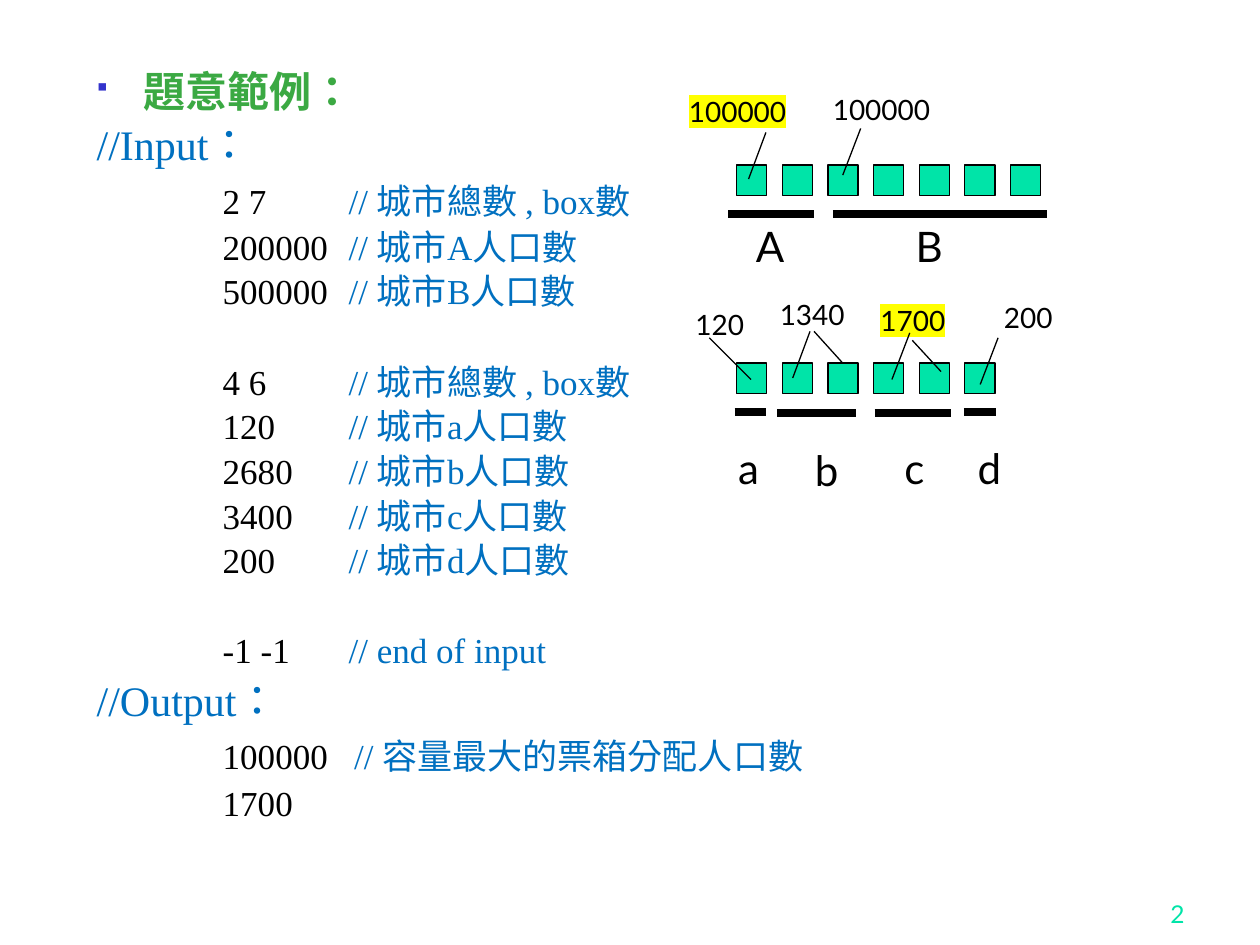
from dataclasses import dataclass

from lxml.etree import SubElement
from pptx import Presentation
from pptx.dml.color import RGBColor
from pptx.enum.shapes import MSO_CONNECTOR, MSO_SHAPE
from pptx.enum.text import MSO_ANCHOR, PP_ALIGN
from pptx.oxml import parse_xml
from pptx.oxml.ns import nsdecls, qn
from pptx.util import Cm, Pt


@dataclass(frozen=True)
class Theme:
    """Colours, fonts and sizes of the slide."""
    ink: str = "000000"
    comment: str = "0070C0"
    title: str = "3BA943"
    bullet: str = "3333CC"
    box: str = "00E4A8"
    highlight: str = "FFFF00"
    body_font: str = "Times New Roman"
    label_font: str = "Lato"
    bullet_font: str = "Wingdings"
    body_language: str = "zh-TW"
    heading_size: float = 24
    code_size: float = 20
    count_size: float = 16
    number_size: float = 14
    heading_space: float = 4.8
    code_space: float = 3.9
    group_space: float = 30
    thin_line: float = 0.75
    thick_line: float = 4.5


THEME = Theme()


def style_run(run, font_name, size, color, bold=False):
    """Set the font of one run."""
    run.font.name = font_name
    run.font.size = Pt(size)
    run.font.bold = bold
    run.font.color.rgb = RGBColor.from_string(color)


def style_body_run(run, size, color, bold=False):
    """Set the font and language of a run in the example."""
    style_run(run, THEME.body_font, size, color, bold)
    run.font._element.set("lang", THEME.body_language)


def highlight_run(run):
    """Mark the run with the highlight colour."""
    highlight = parse_xml(f'<a:highlight {nsdecls("a")}><a:srgbClr val="{THEME.highlight}"/></a:highlight>')
    run.font._element.find(qn("a:solidFill")).addnext(highlight)


def add_text_box(slide, left, top, width, height):
    """Add a wrapping text box and return its text frame."""
    shape = slide.shapes.add_textbox(Cm(left), Cm(top), Cm(width), Cm(height))
    shape.text_frame.word_wrap = True
    return shape.text_frame


def add_label(slide, text, left, top, width, height, size, color=THEME.ink, marked=False):
    """Add a one-line label and return its text frame."""
    text_frame = add_text_box(slide, left, top, width, height)
    text_frame.text = text
    run = text_frame.paragraphs[0].runs[0]
    style_run(run, THEME.label_font, size, color)
    if marked:
        highlight_run(run)
    return text_frame


def add_line(slide, start_x, start_y, end_x, end_y, width):
    """Add a straight black line without a shadow."""
    line = slide.shapes.add_connector(
        MSO_CONNECTOR.STRAIGHT, Cm(start_x), Cm(start_y), Cm(end_x), Cm(end_y))
    line.line.color.rgb = RGBColor.from_string(THEME.ink)
    line.line.width = Pt(width)
    SubElement(line._element.spPr, qn("a:effectLst"))


def add_ballot_boxes(slide, top, count):
    """Add an evenly spaced row of ballot boxes."""
    for index in range(count):
        shape = slide.shapes.add_shape(
            MSO_SHAPE.RECTANGLE, Cm(14.85 + 0.92 * index), Cm(top), Cm(0.61), Cm(0.61))
        shape.shadow.inherit = False
        shape.fill.solid()
        shape.fill.fore_color.rgb = RGBColor.from_string(THEME.box)
        shape.line.color.rgb = RGBColor.from_string(THEME.ink)
        shape.line.width = Pt(THEME.thin_line)


def add_title(paragraph, text):
    """Write the bulleted title line."""
    paragraph.text = text
    properties = paragraph._p.get_or_add_pPr()
    properties.set("marL", str(Cm(0.95)))
    properties.set("indent", str(-Cm(0.95)))
    color = SubElement(properties, qn("a:buClr"))
    SubElement(color, qn("a:srgbClr"), val=THEME.bullet)
    SubElement(properties, qn("a:buSzPct"), val="60000")
    SubElement(properties, qn("a:buFont"), typeface=THEME.bullet_font, charset="2")
    SubElement(properties, qn("a:buChar"), char="§")
    style_body_run(paragraph.runs[0], THEME.heading_size, THEME.title, bold=True)


def add_body_line(text_frame, parts, space):
    """Add a line made of (text, size, colour) parts."""
    paragraph = text_frame.add_paragraph()
    tab_list = SubElement(paragraph._p.get_or_add_pPr(), qn("a:tabLst"))
    for position in (2.54, 5.08):
        SubElement(tab_list, qn("a:tab"), pos=str(Cm(position)), algn="l")
    paragraph.line_spacing = 0.9
    paragraph.space_before = Pt(space)
    for text, size, color in parts:
        run = paragraph.add_run()
        run.text = text
        style_body_run(run, size, color)


def add_section(text_frame, heading, groups):
    """Add a heading and its groups of commented values."""
    add_body_line(text_frame, [(heading, THEME.heading_size, THEME.comment)], THEME.heading_space)
    tab_size, space = THEME.heading_size, THEME.heading_space
    for group in groups:
        for value, comment in group:
            parts = [("\t", tab_size, THEME.ink), (value, THEME.code_size, THEME.ink)]
            if comment:
                parts.append((comment, THEME.code_size, THEME.comment))
            add_body_line(text_frame, parts, space)
            tab_size, space = THEME.code_size, THEME.code_space
        space = THEME.group_space


def add_example(slide):
    """Add the sample input and output."""
    text_frame = add_text_box(slide, 1.7, 1.19, 22.43, 16.64)
    add_title(text_frame.paragraphs[0], "題意範例：")
    totals = "// 城市總數 , box數"
    add_section(text_frame, "//Input：", [
        [("2 7 \t", totals), ("200000 \t", "// 城市A人口數"), ("500000 \t", "// 城市B人口數")],
        [("4 6 \t", totals), ("120 \t", "// 城市a人口數"), ("2680 \t", "// 城市b人口數"),
         ("3400 \t", "// 城市c人口數"), ("200 \t", "// 城市d人口數")],
        [("-1 -1\t", "// end of input")],
    ])
    add_section(text_frame, "//Output：", [
        [("100000   ", "// 容量最大的票箱分配人口數"), ("1700", "")],
    ])


def add_diagram(slide):
    """Add the ballot boxes with their cities and counts."""
    add_ballot_boxes(slide, 3.33, 7)
    add_ballot_boxes(slide, 7.32, 6)
    for city, left, top in [
        ("A", 14.99, 4.32), ("B", 18.21, 4.32),
        ("a", 14.63, 8.79), ("b", 16.18, 8.84), ("c", 17.98, 8.79), ("d", 19.46, 8.79),
    ]:
        add_label(slide, city, left, top, 1.04, 1.27, THEME.heading_size)
    for start, end, top in [
        (14.68, 16.41, 4.32), (16.79, 21.11, 4.32),
        (14.81, 15.44, 8.31), (15.67, 17.25, 8.33), (17.63, 19.18, 8.33), (19.43, 20.07, 8.31),
    ]:
        add_line(slide, start, top, end, top, THEME.thick_line)
    for count, left, top, width, marked in [
        ("100000", 13.64, 1.78, 2.9, True), ("100000", 16.54, 1.75, 2.9, False),
        ("120", 13.77, 6.07, 2.13, False), ("1340", 15.47, 5.87, 1.96, False),
        ("1700", 17.5, 5.99, 1.96, True), ("200", 19.99, 5.94, 2.9, False),
    ]:
        add_label(slide, count, left, top, width, 0.94, THEME.count_size, marked=marked)
    for start_x, start_y, end_x, end_y in [
        (15.44, 2.67, 15.09, 3.61), (17.35, 2.59, 16.99, 3.53),
        (14.3, 6.81, 15.14, 7.65), (16.33, 6.68, 15.98, 7.62), (16.41, 6.68, 16.99, 7.32),
        (18.34, 6.71, 17.98, 7.65), (18.39, 6.86, 18.97, 7.49), (20.12, 6.81, 19.76, 7.75),
    ]:
        add_line(slide, start_x, start_y, end_x, end_y, THEME.thin_line)


def add_page_number(slide):
    """Add the page number at the lower right."""
    text_frame = add_label(slide, "2", 18.85, 17.58, 5.28, 1.27, THEME.number_size, THEME.box)
    text_frame.vertical_anchor = MSO_ANCHOR.BOTTOM
    text_frame.paragraphs[0].alignment = PP_ALIGN.RIGHT


def main():
    """Build and save the slide."""
    presentation = Presentation()
    presentation.slide_width, presentation.slide_height = Cm(25.4), Cm(19.05)
    slide = presentation.slides.add_slide(presentation.slide_layouts[6])
    add_page_number(slide)
    add_example(slide)
    add_diagram(slide)
    presentation.save("out.pptx")


if __name__ == "__main__":
    main()
